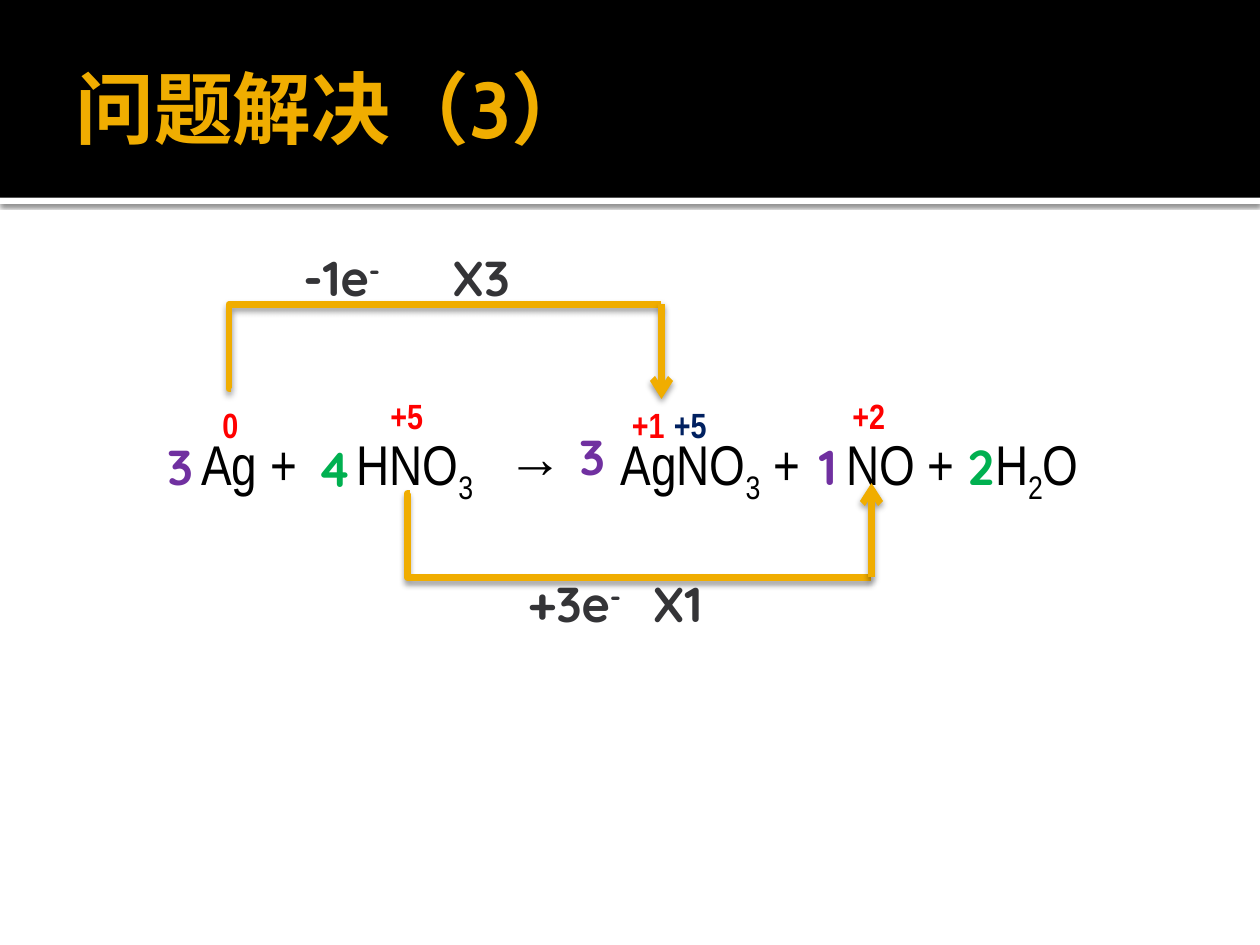
"""Build a slide that balances the oxidation of silver by nitric acid."""
from typing import NamedTuple

from lxml.etree import SubElement
from pptx import Presentation
from pptx.dml.color import RGBColor
from pptx.enum.shapes import MSO_CONNECTOR, MSO_SHAPE
from pptx.enum.text import MSO_ANCHOR, MSO_AUTO_SIZE
from pptx.oxml import parse_xml
from pptx.oxml.ns import nsdecls, qn
from pptx.util import Pt

BLACK, WHITE, GOLD, GREY = "000000", "FFFFFF", "F0AD00", "343437"
RED, NAVY, PURPLE, GREEN = "FF0000", "002060", "7030A0", "00B050"
NARROW, ROUNDED, HEADING = "Arial Narrow", "Quicksand", "Cabin"


class Piece(NamedTuple):
    """A run of text with its baseline shift in percent."""
    text: str
    baseline: int = 0


class Style(NamedTuple):
    """The look shared by all runs of a label."""
    font: str
    size: float
    color: str
    bold: bool = True


class Label(NamedTuple):
    """A text box and its contents."""
    left: float
    top: float
    width: float
    height: float
    style: Style
    pieces: tuple[Piece, ...]
    wrap: bool = True
    tabs: tuple[float, ...] = ()


class Transfer(NamedTuple):
    """An electron transfer path from donor atom to acceptor atom."""
    start_x: float
    start_y: float
    bar_y: float
    end_x: float
    tip_y: float


def rgb(color: str) -> RGBColor:
    """Turn a hex string into a colour."""
    return RGBColor.from_string(color)


def add_shadow(properties, blur: float, distance: float, alpha: int) -> None:
    """Append a soft shadow that falls straight down."""
    properties.append(parse_xml(
        f'<a:effectLst {nsdecls("a")}><a:outerShdw blurRad="{Pt(blur)}" '
        f'dist="{Pt(distance)}" dir="5400000" rotWithShape="0">'
        f'<a:srgbClr val="{BLACK}"><a:alpha val="{alpha * 1000}"/></a:srgbClr>'
        '</a:outerShdw></a:effectLst>'))


def add_band(slide, top: float, height: float, color: str):
    """Draw a full-width band."""
    band = slide.shapes.add_shape(MSO_SHAPE.RECTANGLE, 0, Pt(top), Pt(720), Pt(height))
    band.fill.solid()
    band.fill.fore_color.rgb = rgb(color)
    band.line.fill.background()
    return band


def add_label(slide, label: Label):
    """Draw a text box run by run and return its frame."""
    box = slide.shapes.add_textbox(
        Pt(label.left), Pt(label.top), Pt(label.width), Pt(label.height))
    frame = box.text_frame
    frame.word_wrap = label.wrap
    frame.auto_size = MSO_AUTO_SIZE.SHAPE_TO_FIT_TEXT
    paragraph = frame.paragraphs[0]
    if label.tabs:
        stops = SubElement(paragraph._p.get_or_add_pPr(), qn("a:tabLst"))
        for position in label.tabs:
            SubElement(stops, qn("a:tab"), pos=str(Pt(position)), algn="l")
    for piece in label.pieces:
        run = paragraph.add_run()
        run.text = piece.text
        run.font.name = label.style.font
        run.font.size = Pt(label.style.size)
        run.font.bold = label.style.bold
        run.font.color.rgb = rgb(label.style.color)
        if piece.baseline:
            run.font._element.set("baseline", str(piece.baseline * 1000))
    return frame


def add_stroke(slide, kind, start: tuple[float, float], end: tuple[float, float]):
    """Draw a thick gold connector with a shadow."""
    stroke = slide.shapes.add_connector(kind, *map(Pt, start + end))
    stroke.line.color.rgb = rgb(GOLD)
    stroke.line.width = Pt(3.78)
    add_shadow(stroke._element.spPr, 3.5, 2, 38)
    return stroke


def add_transfer(slide, transfer: Transfer) -> None:
    """Draw the bent path and its closing arrow."""
    corner = (transfer.end_x, transfer.bar_y)
    path = add_stroke(slide, MSO_CONNECTOR.ELBOW,
                      (transfer.start_x, transfer.start_y), corner)
    guides = path._element.spPr.find(qn("a:prstGeom")).get_or_add_avLst()
    SubElement(guides, qn("a:gd"), name="adj1", fmla="val -500")
    arrow = add_stroke(slide, MSO_CONNECTOR.STRAIGHT, corner,
                       (transfer.end_x, transfer.tip_y))
    SubElement(arrow.line._get_or_add_ln(), qn("a:tailEnd"), type="arrow")


def charge(left: float, top: float, text: str, color: str = RED) -> Label:
    """Describe an oxidation number."""
    return Label(left, top, 36, 31.5, Style(NARROW, 20, color), (Piece(text),))


def note(left: float, top: float, width: float, color: str, *pieces: Piece) -> Label:
    """Describe a coefficient or an electron count."""
    return Label(left, top, width, 41, Style(ROUNDED, 28, color), pieces, False)


EQUATION = Label(
    108, 242, 552, 46, Style(NARROW, 32, BLACK, False),
    (Piece("Ag +\tHNO"), Piece("3", -25), Piece("\t→\tAgNO"), Piece("3", -25),
     Piece(" +\tNO +\tH"), Piece("2", -25), Piece("O")),
    tabs=(88.5, 175, 239.5, 368.5, 453.5))
TRANSFERS = (Transfer(132, 222, 174, 378, 228), Transfer(234, 282, 330, 498, 276))
CHARGES = (charge(120, 227, "0"), charge(354, 227, "+1"), charge(216, 222, "+5"),
           charge(480, 222, "+2"), charge(378, 227, "+5", NAVY))
ELECTRONS = (
    note(166.3, 138, 64, GREY, Piece("-1e"), Piece("-", 30)),
    note(294.5, 324, 71.3, GREY, Piece("+3e"), Piece("-", 30)),
    note(251.3, 138, 48, GREY, Piece("X3")),
    note(365.8, 324, 48, GREY, Piece("X1")))
COEFFICIENTS = tuple(
    note(left, top, 31.7, color, Piece(number)) for left, top, color, number in (
        (88.6, 246, PURPLE, "3"), (324, 240, PURPLE, "3"), (460.8, 246, PURPLE, "1"),
        (174, 247, GREEN, "4"), (545.8, 246, GREEN, "2")))
TITLE = Label(36, 12, 648, 98.6, Style(HEADING, 45, GOLD), (Piece("问题解决（3）"),))


def main() -> None:
    """Assemble and save the slide."""
    deck = Presentation()
    deck.slide_width, deck.slide_height = Pt(720), Pt(540)
    slide = deck.slides.add_slide(deck.slide_layouts[6])
    rule = add_band(slide, 113, 3.6, WHITE)
    add_shadow(rule._element.spPr, 2.5, 0.8, 60)
    header = add_band(slide, 0, 113, BLACK)
    header.shadow.inherit = False
    add_label(slide, EQUATION)
    for transfer in TRANSFERS:
        add_transfer(slide, transfer)
    for label in ELECTRONS + CHARGES + COEFFICIENTS:
        add_label(slide, label)
    heading = add_label(slide, TITLE)
    heading.auto_size = MSO_AUTO_SIZE.NONE
    heading.vertical_anchor = MSO_ANCHOR.MIDDLE
    heading.margin_right = Pt(3.6)
    deck.save("out.pptx")


if __name__ == "__main__":
    main()
